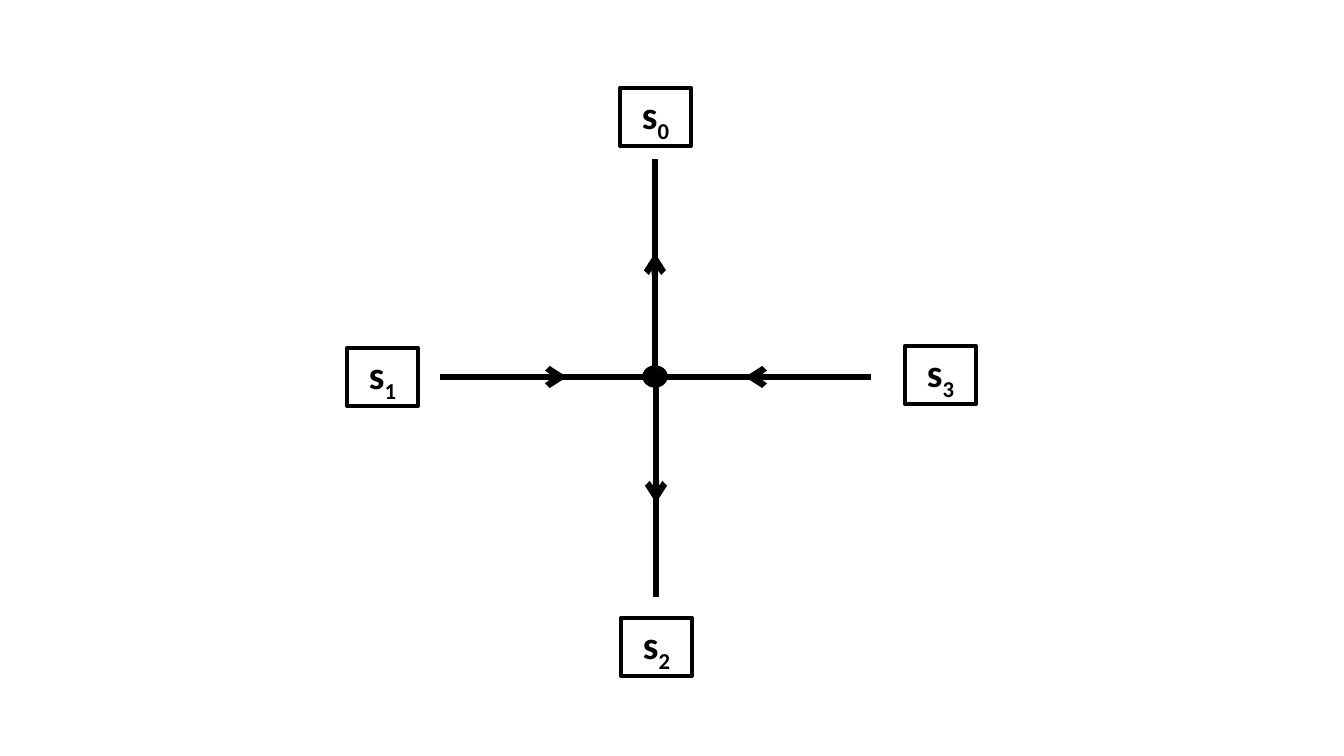
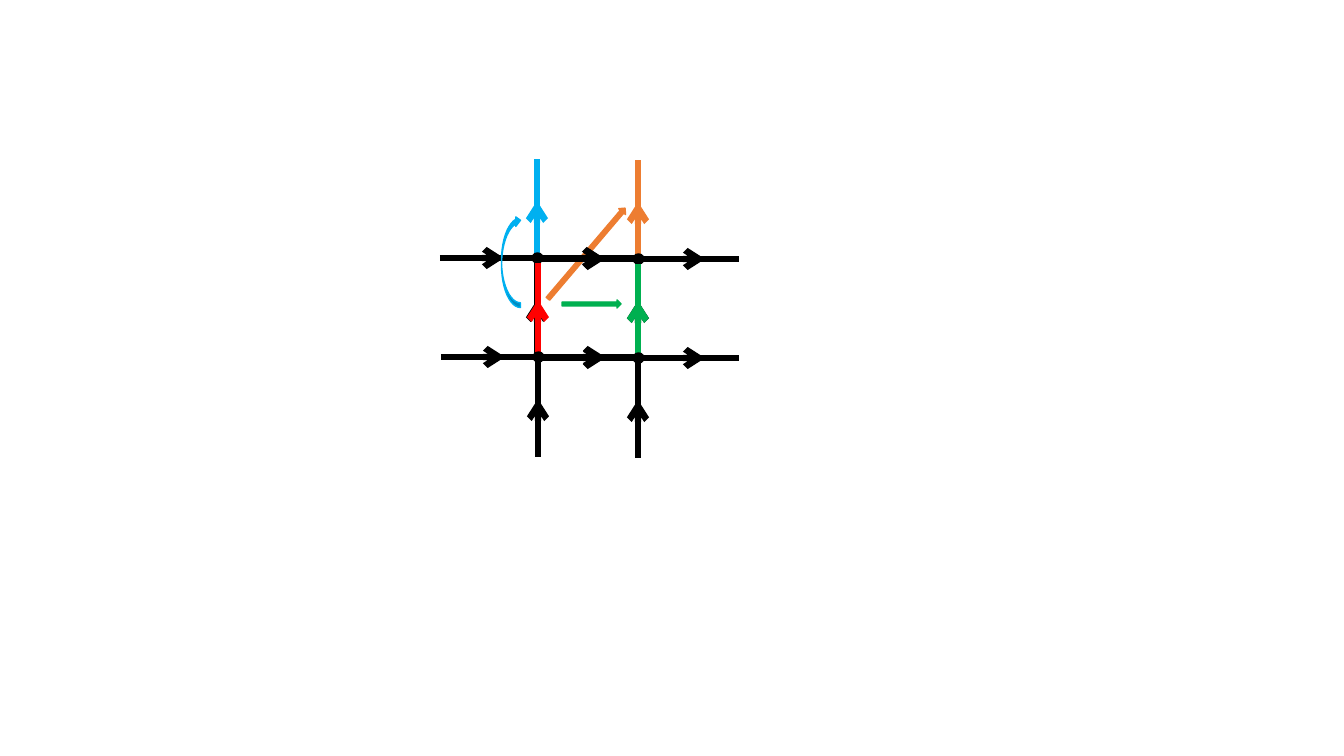
from lxml.etree import SubElement
from pptx import Presentation
from pptx.dml.color import RGBColor
from pptx.enum.shapes import MSO_CONNECTOR, MSO_SHAPE as Preset
from pptx.enum.text import MSO_ANCHOR, MSO_AUTO_SIZE, PP_ALIGN
from pptx.oxml.ns import qn
from pptx.util import Pt

PIXEL = 914400 / 100.8
BLACK = RGBColor(0, 0, 0)
RED = RGBColor(0xFF, 0, 0)
GREEN = RGBColor(0, 0xB0, 0x50)
BLUE = RGBColor(0, 0xB0, 0xF0)
ORANGE = RGBColor(0xED, 0x7D, 0x31)


def emu(*pixels):
    return [round(pixel * PIXEL) for pixel in pixels]


class Diagram:
    font = "Calibri"
    label_size = Pt(28)
    label_border = Pt(3)
    edge_width = Pt(4.5)
    outline = Pt(1)
    overlap = 8

    def __init__(self):
        self.deck = Presentation()
        self.deck.slide_width, self.deck.slide_height = emu(1344, 756)
        self.slide = None

    def new_slide(self):
        self.slide = self.deck.slides.add_slide(self.deck.slide_layouts[6])

    def label(self, left, top, letter, index):
        box = self.slide.shapes.add_textbox(*emu(left, top, 71, 58))
        box.line.color.rgb = BLACK
        box.line.width = self.label_border
        frame = box.text_frame
        frame.word_wrap = True
        frame.auto_size = MSO_AUTO_SIZE.SHAPE_TO_FIT_TEXT
        frame.vertical_anchor = MSO_ANCHOR.MIDDLE
        paragraph = frame.paragraphs[0]
        paragraph.alignment = PP_ALIGN.CENTER
        for text, baseline in ((letter, 0), (index, -25000)):
            run = paragraph.add_run()
            run.text = text
            run.font.name = self.font
            run.font.size = self.label_size
            run.font.bold = True
            run.font.color.rgb = BLACK
            if baseline:
                run._r.get_or_add_rPr().set("baseline", str(baseline))

    def line(self, start, end, color, arrow=False):
        connector = self.slide.shapes.add_connector(
            MSO_CONNECTOR.STRAIGHT, *emu(*start, *end))
        connector.line.color.rgb = color
        connector.line.width = self.edge_width
        properties = connector.element.spPr
        SubElement(properties, qn("a:effectLst"))
        if arrow:
            SubElement(properties.find(qn("a:ln")), qn("a:tailEnd"), type="arrow")

    def edge(self, start, tip, end, color=BLACK):
        def step(origin, target):
            return (target > origin) - (target < origin)

        resume = [t - self.overlap * step(s, t) for s, t in zip(start, tip)]
        self.line(start, tip, color, arrow=True)
        self.line(resume, end, color)

    def solid(self, preset, left, top, width, height, color, rotation=0):
        shape = self.slide.shapes.add_shape(preset, *emu(left, top, width, height))
        shape.shadow.inherit = False
        shape.fill.solid()
        shape.fill.fore_color.rgb = color
        shape.line.color.rgb = color
        shape.line.width = self.outline
        shape.rotation = rotation

    def crossing(self, x, y, up_color, up_reach):
        self.edge((x - 98, y), (x - 34, y), (x + 1, y))
        self.edge((x - 1, y + 1), (x - 1, y - 57), (x - 1, y - up_reach), up_color)
        self.edge((x, y), (x + 66, y), (x + 100, y))
        self.edge((x - 1, y + 100), (x - 1, y + 42), (x - 1, y))
        self.solid(Preset.OVAL, x - 6, y - 5, 11, 10, BLACK)


diagram = Diagram()

diagram.new_slide()
for left, top, index in ((620, 88, "0"), (347, 348, "1"),
                         (621, 618, "2"), (905, 346, "3")):
    diagram.label(left, top, "s", index)
diagram.edge((440, 377), (567, 377), (659, 377))
diagram.edge((655, 379), (655, 253), (655, 159))
diagram.edge((871, 377), (745, 377), (651, 377))
diagram.edge((656, 377), (656, 503), (656, 597))
diagram.solid(Preset.OVAL, 643, 366, 24, 21, BLACK)

diagram.new_slide()
diagram.solid(Preset.RIGHT_ARROW, 527, 249, 119, 9, ORANGE, 310.4)
for x, y, up_color, up_reach in ((538, 258, BLUE, 99), (639, 259, ORANGE, 99),
                                 (539, 357, RED, 94), (639, 358, GREEN, 94)):
    diagram.crossing(x, y, up_color, up_reach)
diagram.solid(Preset.RIGHT_ARROW, 562, 300, 59, 8, GREEN)
diagram.solid(Preset.CURVED_DOWN_ARROW, 465, 252, 92, 19, BLUE, 270)

diagram.deck.save("out.pptx")
